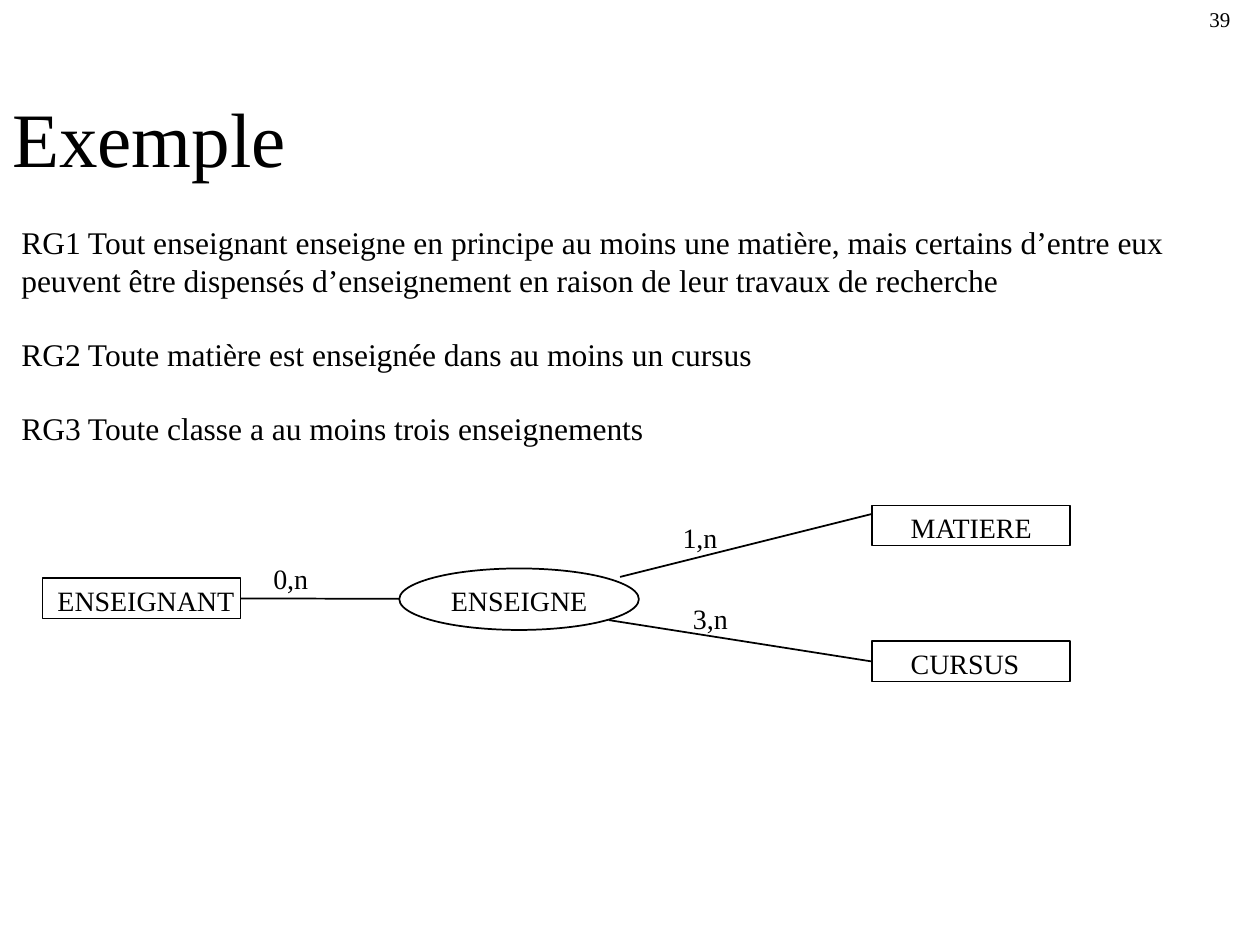
"""Build the slide showing an entity-relationship example with three rules."""
from lxml import etree
from pptx import Presentation
from pptx import util as u
from pptx.dml.color import RGBColor
from pptx.enum import shapes, text
from pptx.oxml import ns

BLACK = RGBColor(0, 0, 0)
FONT = "Times New Roman"
RECT = shapes.MSO_SHAPE.RECTANGLE
OVAL = shapes.MSO_SHAPE.OVAL


class Pen:
    def __init__(self, deck):
        self.slide = deck.slides.add_slide(deck.slide_layouts[6])
        self.items = self.slide.shapes

    def label(self, lines, box, size=16, gaps=(), **form):
        frame = self.items.add_textbox(*map(u.Cm, box)).text_frame
        style = {"word_wrap": False,
                 "auto_size": text.MSO_AUTO_SIZE.SHAPE_TO_FIT_TEXT, **form}
        for key, value in style.items():
            setattr(frame, key, value)
        frame.text = "\n".join(lines)
        for row, par in enumerate(frame.paragraphs):
            for key, value in {"name": FONT, "size": u.Pt(size)}.items():
                setattr(par.font, key, value)
            par.font.color.rgb = BLACK
            if row in gaps:
                par.space_before = u.Pt(20.7)

    def ink(self, line):
        line.color.rgb = BLACK
        line.width = u.Pt(1)

    def node(self, kind, box, name, place):
        shape = self.items.add_shape(kind, *map(u.Cm, box))
        shape.shadow.inherit = False
        shape.fill.background()
        self.ink(shape.line)
        self.label([name], place)
        return shape

    def link(self, start, end):
        line = self.items.add_connector(
            shapes.MSO_CONNECTOR.STRAIGHT, *map(u.Cm, start + end))
        self.ink(line.line)
        etree.SubElement(line._element.spPr, ns.qn("a:effectLst"))
        return line


def main():
    deck = Presentation()
    for key, value in {"slide_width": 25.4, "slide_height": 19.05}.items():
        setattr(deck, key, u.Cm(value))
    pen = Pen(deck)

    pen.label(["Exemple"], (0, 0.84, 21.49, 2.97), 44, word_wrap=True,
              auto_size=text.MSO_AUTO_SIZE.NONE,
              vertical_anchor=text.MSO_ANCHOR.BOTTOM)
    pen.label([
        "RG1 Tout enseignant enseigne en principe au moins une matière, "
        "mais certains d’entre eux",
        "peuvent être dispensés d’enseignement en raison de leur travaux "
        "de recherche",
        "RG2 Toute matière est enseignée dans au moins un cursus",
        "RG3 Toute classe a au moins trois enseignements",
    ], (0.18, 4.37, 23.95, 4.83), 18, gaps=(2, 3), word_wrap=True)

    nodes = {}
    for name, left, top, inset, width in [
            ("MATIERE", 17.58, 10.19, 0.53, 3.02),
            ("CURSUS", 17.58, 12.93, 0.53, 2.72),
            ("ENSEIGNANT", 0.86, 11.66, 0.05, 4.09)]:
        nodes[name] = pen.node(RECT, (left, top, 3.99, 0.81), name,
                               (left + inset, top - 0.03, width, 0.94))
    pen.node(OVAL, (8.05, 11.46, 4.83, 1.24), "ENSEIGNE",
             (8.84, 11.63, 3.28, 0.94))

    pen.link((4.85, 12.07), (8.05, 12.07)).begin_connect(nodes["ENSEIGNANT"], 3)
    pen.link((12.5, 11.63), (17.58, 10.36))
    pen.link((12.27, 12.5), (17.58, 13.33)).end_connect(nodes["CURSUS"], 1)

    for card, left, top in [("0,n", 5.26, 11.2), ("1,n", 13.51, 10.36),
                            ("3,n", 13.72, 12.01)]:
        pen.label([card], (left, top, 1.22, 0.94))
    pen.label(["39"], (24.13, 0, 1.27, 0.76), 12, word_wrap=True)
    deck.save("out.pptx")


if __name__ == "__main__":
    main()
